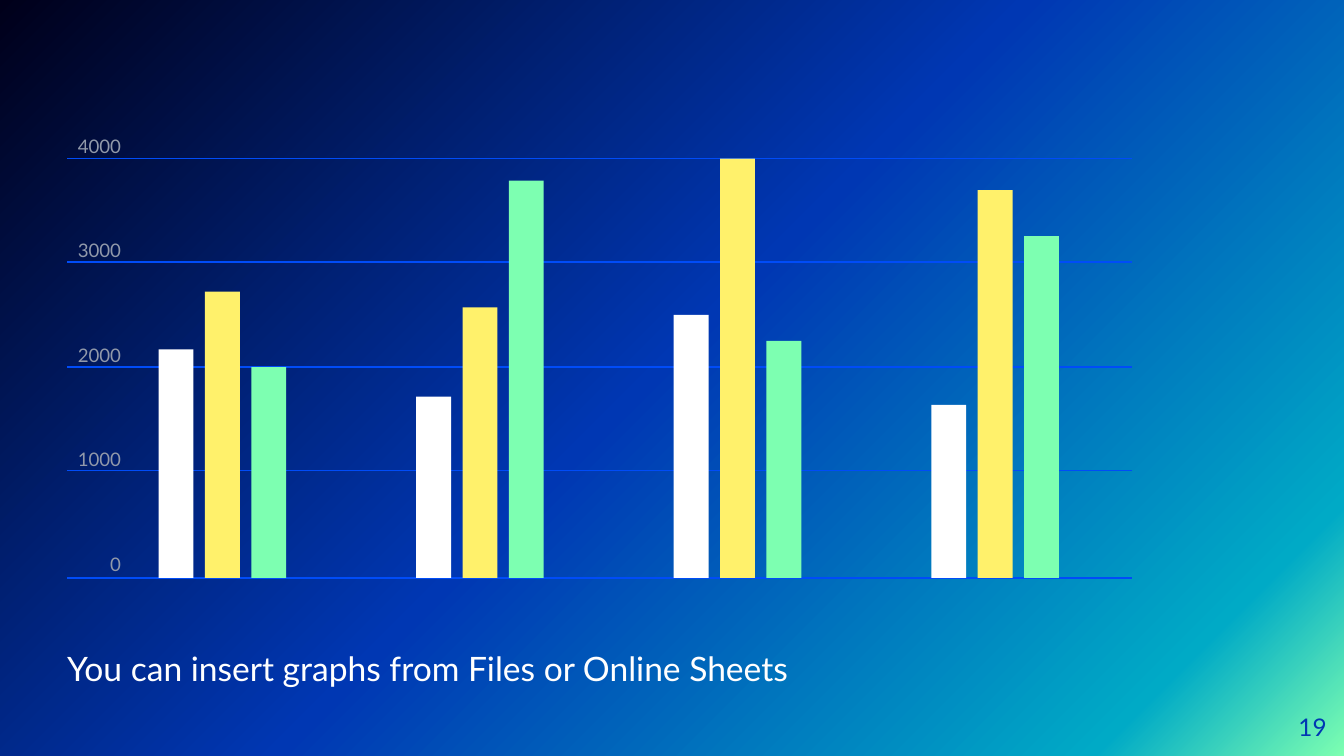
import copy
import dataclasses
import pptx
import pptx.dml.color
import pptx.enum.shapes
import pptx.enum.text
import pptx.oxml
import pptx.oxml.ns
import pptx.util

Inches = pptx.util.Inches
Pt = pptx.util.Pt
Align = pptx.enum.text.PP_ALIGN
Anchor = pptx.enum.text.MSO_ANCHOR
qn = pptx.oxml.ns.qn


@dataclasses.dataclass(frozen=True)
class Theme:
    font: str = "Lato"
    white: str = "FFFFFF"
    yellow: str = "FFF16B"
    green: str = "7DFFB1"
    teal: str = "00AAC6"
    blue: str = "0037B3"
    navy: str = "00001A"
    grid: str = "004CF8"
    grey: str = "9199AA"
    body: int = 18
    page: int = 13
    label: int = 10
    rule: float = 0.75


def shade(code):
    return pptx.dml.color.RGBColor.from_string(code)


class Painter:
    def __init__(self, theme, slide):
        self.theme = theme
        self.slide = slide

    def backdrop(self, stops, angle):
        fill = self.slide.background.fill
        fill.gradient()
        fill.gradient_angle = angle
        group = self.slide._element.find(".//" + qn("a:gsLst"))
        while len(group) < len(stops):
            group.append(copy.deepcopy(group[0]))
        for stop, (place, color) in zip(fill.gradient_stops, stops):
            stop.position = place
            stop.color.rgb = shade(color)

    def text(self, words, left, top, width, height, size, color,
             align=Align.LEFT, anchor=Anchor.TOP, first=0, gap=0):
        box = self.slide.shapes.add_textbox(
            Inches(left), Inches(top), Inches(width), Inches(height))
        frame = box.text_frame
        frame.word_wrap = True
        frame.vertical_anchor = anchor
        frame.margin_left = frame.margin_right = 0
        frame.margin_top = frame.margin_bottom = 0
        frame.text = words
        for order, para in enumerate(frame.paragraphs):
            para.alignment = align
            para.space_before = Pt(gap if order else first)
            for run in para.runs:
                run.font.name = self.theme.font
                run.font.size = Pt(size)
                run.font.color.rgb = shade(color)

    def rule(self, left, right, y):
        line = self.slide.shapes.add_connector(
            pptx.enum.shapes.MSO_CONNECTOR.STRAIGHT,
            Inches(left), Inches(y), Inches(right), Inches(y))
        line.line.color.rgb = shade(self.theme.grid)
        line.line.width = Pt(self.theme.rule)
        line._element.spPr.append(pptx.oxml.parse_xml(
            '<a:effectLst xmlns:a='
            '"http://schemas.openxmlformats.org/drawingml/2006/main"/>'))

    def bar(self, left, top, width, height, color):
        shape = self.slide.shapes.add_shape(
            pptx.enum.shapes.MSO_SHAPE.RECTANGLE,
            Inches(left), Inches(top), Inches(width), Inches(height))
        shape.shadow.inherit = False
        shape.fill.solid()
        shape.fill.fore_color.rgb = shade(color)
        shape.line.fill.background()


def main():
    theme = Theme()
    deck = pptx.Presentation()
    deck.slide_width = Inches(10)
    deck.slide_height = Inches(10) * 9 // 16
    paint = Painter(theme, deck.slides.add_slide(deck.slide_layouts[6]))

    paint.backdrop([(0, theme.green), (0.12, theme.teal),
                    (0.51, theme.blue), (1, theme.navy)], 135)
    paint.text("You can insert graphs from Files or Online Sheets",
               0.5, 4.82, 6.59, 0.57, theme.body, theme.white, first=3.6)
    paint.text("19", 9.27, 5.19, 0.6, 0.43, theme.page, theme.blue,
               Align.RIGHT, Anchor.MIDDLE)

    rules = [1.18, 1.95, 2.73, 3.5, 4.3]
    for y in rules:
        paint.rule(0.5, 8.42, y)
    paint.text("4000\n3000\n2000\n1000\n0", 0.5, 1, 0.4, 3.31,
               theme.label, theme.grey, Align.RIGHT, gap=44)

    peak = 4000
    base = rules[-1]
    scale = (base - rules[0]) / peak
    start, end = 1.18, 6.93
    colors = [theme.white, theme.yellow, theme.green]
    groups = [(2180, 2730, 2010), (1730, 2580, 3790),
              (2510, 4000, 2260), (1650, 3700, 3260)]
    step = (end - start) / (len(groups) - 1)
    pitch = 0.69 / (len(colors) - 1)
    for col, values in enumerate(groups):
        for order, (value, color) in enumerate(zip(values, colors)):
            height = value * scale
            left = start + step * col + pitch * order
            paint.bar(left, base - height, 0.26, height, color)

    deck.save("out.pptx")


if __name__ == "__main__":
    main()
